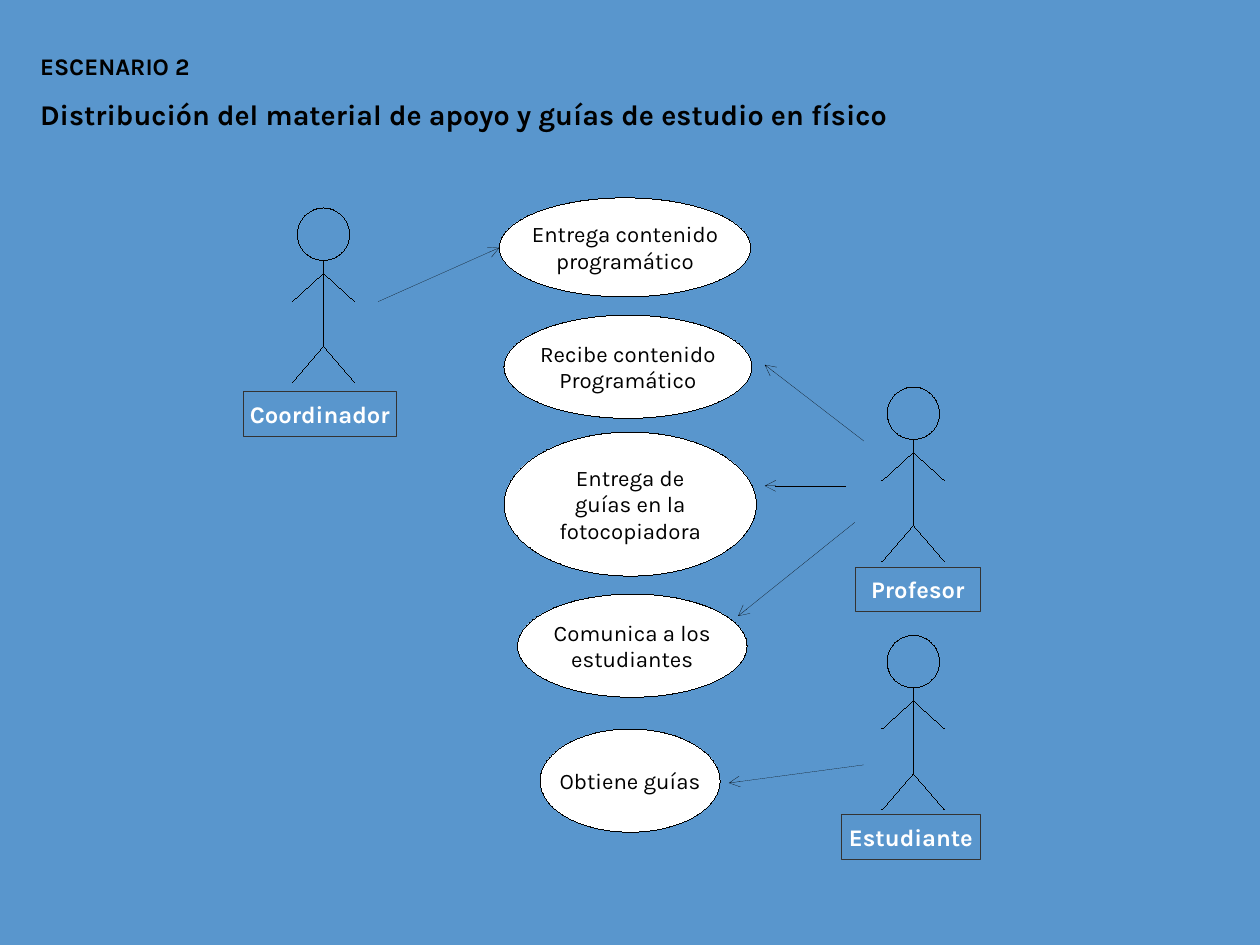
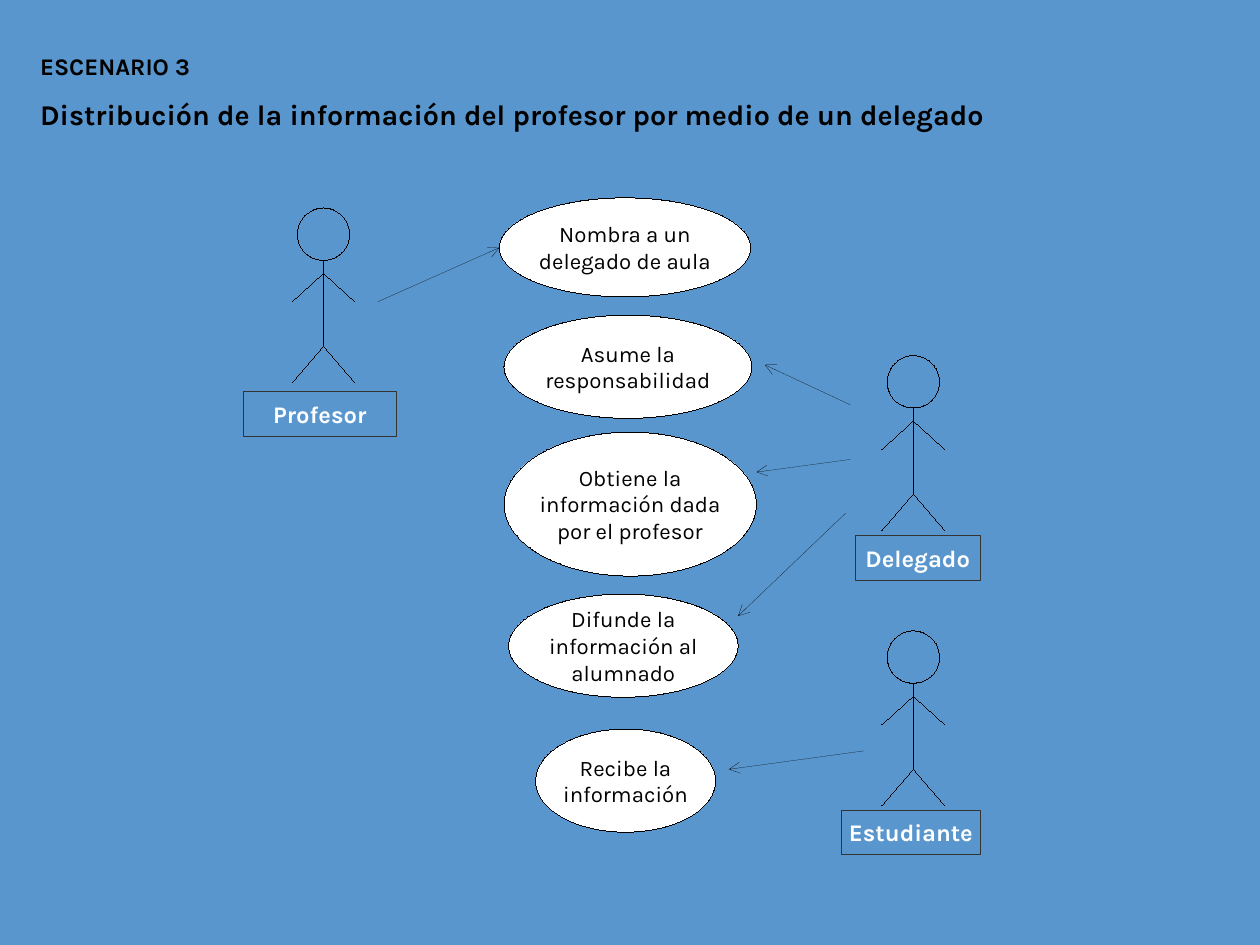
from lxml import etree
from pptx import Presentation
from pptx.dml.color import RGBColor
from pptx.enum import shapes, text
from pptx.oxml import ns
from pptx.util import Pt

HUES = {"sky": "5996CD", "ink": "000000", "paper": "FFFFFF", "edge": "333333"}
FONT = "Karla"
INK, PAPER, EDGE = (RGBColor.from_string(HUES[key]) for key in ("ink", "paper", "edge"))
LEFT, RIGHT = 203.8, 575.4
HEAD = 33
HAIR = 0.01

deck = Presentation()
deck.slide_width, deck.slide_height = Pt(793.75), Pt(595.25)
back = deck.slide_master.background.fill
back.solid()
back.fore_color.rgb = RGBColor.from_string(HUES["sky"])

scenes = [
    {
        "title": ["ESCENARIO 2", "Distribución del material de apoyo y guías de estudio en físico"],
        "cases": [
            (314.6, 124.6, 158.4, 62.4, "Entrega contenido\nprogramático"),
            (317.5, 198.5, 156.2, 65, "Recibe contenido\nProgramático"),
            (317.5, 272.2, 159, 90.7, "Entrega de\nguías en la\nfotocopiadora"),
            (326, 374.2, 144.6, 65, "Comunica a los\nestudiantes"),
            (340.2, 459.2, 113.4, 65, "Obtiene guías"),
        ],
        "actors": [
            (LEFT, 131, "Coordinador", 153.2, 246.6, 96.6),
            (RIGHT, 243.8, "Profesor", 538.6, 357.2, 79.2),
            (RIGHT, 400.2, "Estudiante", 530, 513, 87.8),
        ],
        "arrows": [
            (238.2, 190, 314.6, 156),
            (544.2, 277.8, 481.8, 229.8),
            (532.8, 306, 481.8, 306),
            (538.6, 329, 465, 388),
            (544.2, 481.8, 459.2, 493.2),
        ],
    },
    {
        "title": ["ESCENARIO 3", "Distribución de la información del profesor por medio de un delegado"],
        "cases": [
            (314.6, 124.6, 158.4, 62.4, "Nombra a un\ndelegado de aula"),
            (317.5, 198.5, 156.2, 65, "Asume la\nresponsabilidad"),
            (317.5, 272.2, 159, 90.7, "Obtiene la\ninformación dada\npor el profesor"),
            (320.4, 374.2, 144.6, 65, "Difunde la\ninformación al\nalumnado"),
            (337.4, 459.2, 113.4, 65, "Recibe la\ninformación"),
        ],
        "actors": [
            (LEFT, 131, "Profesor", 153.2, 246.6, 96.6),
            (RIGHT, 224, "Delegado", 538.6, 337.4, 79.2),
            (RIGHT, 397.4, "Estudiante", 530, 510.2, 87.8),
        ],
        "arrows": [
            (238.2, 190, 314.6, 156),
            (535.7, 255, 481.8, 229.8),
            (535.7, 289.4, 476.6, 297.4),
            (532.8, 323.2, 465, 388),
            (544.2, 473, 459.2, 484.6),
        ],
    },
]


def draw(home, kind, box, words="", size=14, tint=INK, edge=INK, width=HAIR, fill=None):
    shape = home.add_shape(kind, *map(Pt, box))
    shape.shadow.inherit = False
    if fill is None:
        shape.fill.background()
    else:
        shape.fill.solid()
        shape.fill.fore_color.rgb = fill
    shape.line.color.rgb = edge
    shape.line.width = Pt(width)
    if words:
        frame = shape.text_frame
        frame.text = words
        frame.word_wrap = False
        frame.vertical_anchor = text.MSO_ANCHOR.MIDDLE
        for para in frame.paragraphs:
            para.alignment = text.PP_ALIGN.CENTER
            para.font.name, para.font.size = FONT, Pt(size)
            para.font.color.rgb = tint
            para.font.bold = tint == PAPER


def link(home, ends, arrow=False):
    line = home.add_connector(shapes.MSO_CONNECTOR.STRAIGHT, *map(Pt, ends))
    line.line.color.rgb = INK
    line.line.width = Pt(HAIR)
    props = line.element.spPr
    if arrow:
        etree.SubElement(props.find(ns.qn("a:ln")), ns.qn("a:tailEnd"), type="arrow")
    etree.SubElement(props, ns.qn("a:effectLst"))


for scene in scenes:
    slide = deck.slides.add_slide(deck.slide_layouts[6])
    tree = slide.shapes

    frame = tree.add_textbox(Pt(18.2), Pt(20), Pt(639.4), Pt(54)).text_frame
    frame.text = "\n".join(scene["title"])
    frame.word_wrap = True
    for para, size in zip(frame.paragraphs, (15, 18)):
        para.line_spacing = 1.5
        para.font.name, para.font.size = FONT, Pt(size)
        para.font.bold = True
        para.font.color.rgb = INK

    for *box, words in scene["cases"]:
        draw(tree, shapes.MSO_SHAPE.OVAL, box, words, fill=PAPER)

    for mid, top, name, left, base, wide in scene["actors"]:
        group = tree.add_group_shape().shapes
        draw(group, shapes.MSO_SHAPE.OVAL, (mid - HEAD / 2, top, HEAD, HEAD))
        neck, hip = top + 41, top + 87
        link(group, (mid, top + HEAD, mid, hip))
        for side in (-19.8, 19.8):
            link(group, (mid, neck, mid + side, neck + 18))
            link(group, (mid, hip, mid + side, hip + 23))
        draw(tree, shapes.MSO_SHAPE.RECTANGLE, (left, base, wide, 28.2),
             name, 15, PAPER, EDGE, 0.5)

    for ends in scene["arrows"]:
        link(tree, ends, True)

deck.save("out.pptx")
